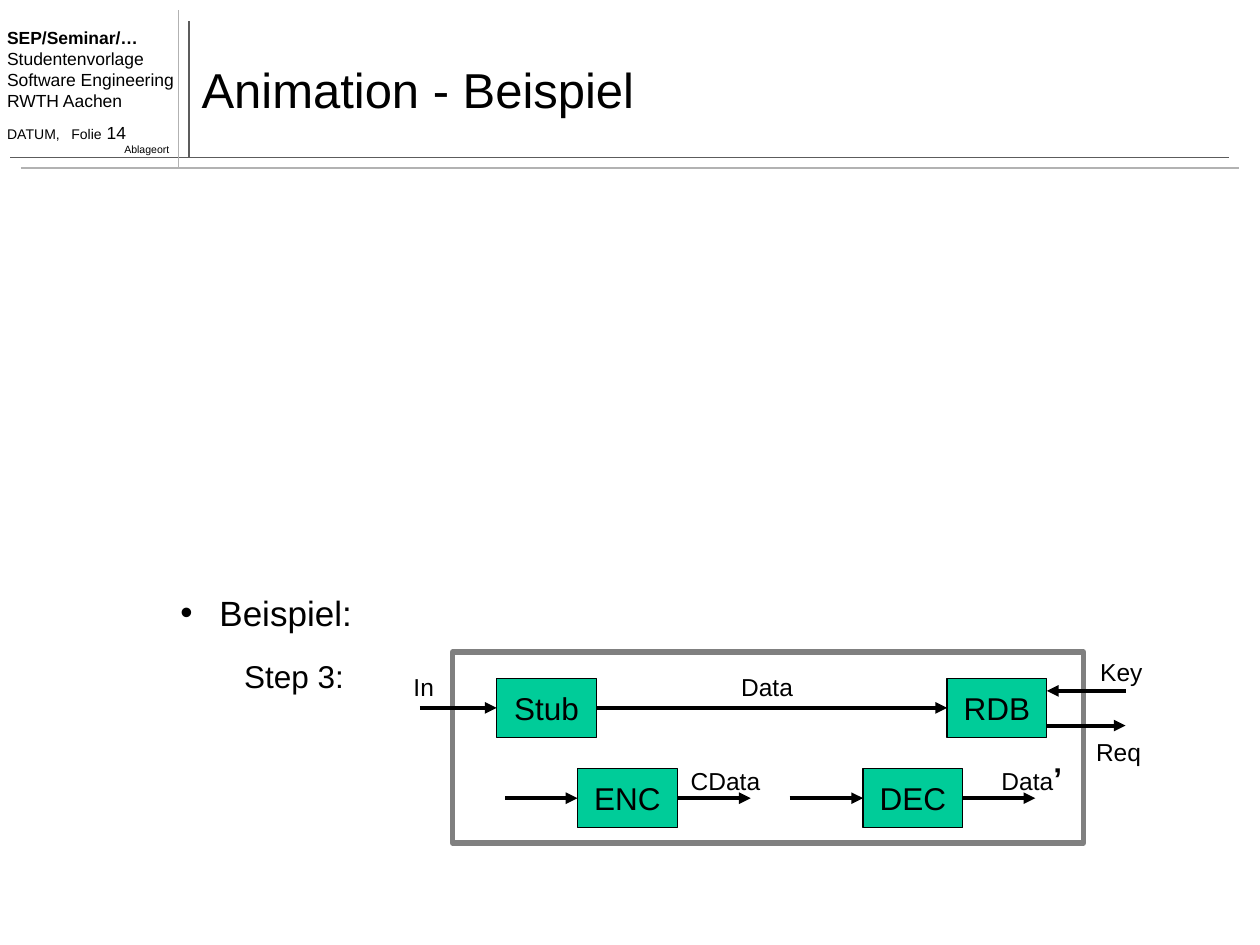
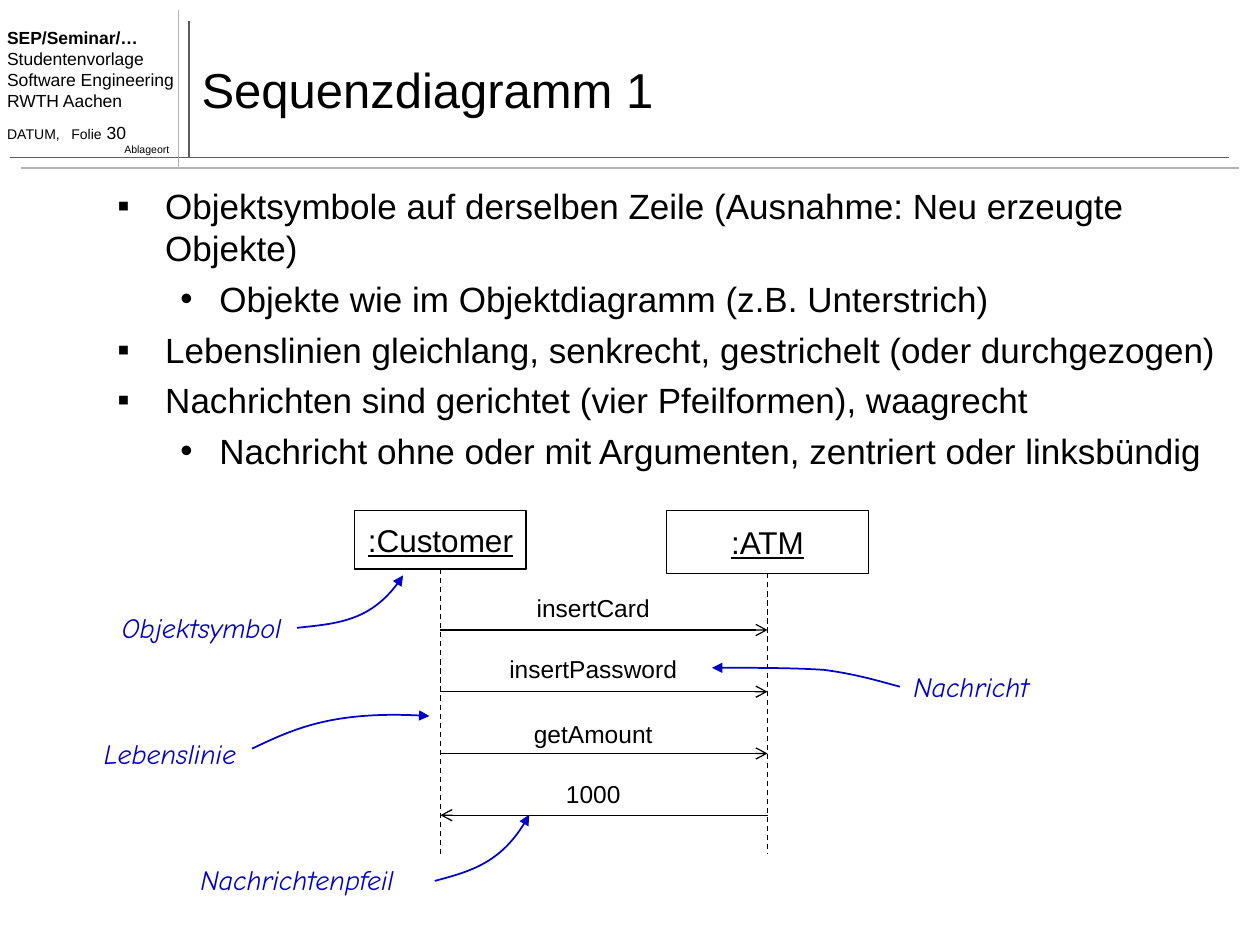
from dataclasses import dataclass
from typing import NamedTuple

from lxml.etree import SubElement
from pptx import Presentation
from pptx.dml.color import RGBColor
from pptx.enum.dml import MSO_LINE
from pptx.enum.shapes import MSO_CONNECTOR, MSO_SHAPE
from pptx.enum.text import MSO_ANCHOR, PP_ALIGN
from pptx.oxml.ns import qn
from pptx.util import Emu, Inches, Pt

COLUMNS, ROWS = 120, 90
WIDTH, HEIGHT = Inches(10), Inches(7.5)
COLORS = {"ink": "000000", "paper": "FFFFFF", "rule": "5C5C5C", "pale_rule": "B2B2B2",
          "frame": "808080", "component": "00CC99", "note": "0000CC"}
TOP, LEFT, BOTTOM, RIGHT = range(4)


class Point(NamedTuple):
    """A place on the grid."""
    col: float
    row: float


class Area(NamedTuple):
    """A rectangle on the grid."""
    col: float
    row: float
    cols: float
    rows: float


class Joint(NamedTuple):
    """The middle of one side of a box."""
    box: object
    side: int


class Bullet(NamedTuple):
    """A bullet sign with its text margin and sign offset in inches."""
    sign: str
    margin: float
    offset: float


@dataclass
class Para:
    """A paragraph of (text, format) runs."""
    runs: list
    before: float = 0
    bullet: Bullet | None = None
    tab: float = 0


@dataclass
class Message:
    """A call in the sequence diagram."""
    name: str
    name_row: float
    reply: bool = False


@dataclass
class Note:
    """A handwritten remark with its curved pointer."""
    name: str
    area: Area
    curve: list
    align: PP_ALIGN = PP_ALIGN.CENTER


SQUARE, DOT = Bullet("▪", 0.38, -0.38), Bullet("•", 0.81, -0.31)
RULES = [(Point(18, 15), Point(18, 2), "rule"), (Point(1, 15), Point(117, 15), "rule"),
         (Point(2, 16), Point(118, 16), "pale_rule"), (Point(17, 16), Point(17, 1), "pale_rule")]
RULES_OF_DIAGRAM = [
    (SQUARE, "Objektsymbole auf derselben Zeile (Ausnahme: Neu erzeugte Objekte)"),
    (DOT, "Objekte wie im Objektdiagramm (z.B. Unterstrich)"),
    (SQUARE, "Lebenslinien gleichlang, senkrecht, gestrichelt (oder durchgezogen)"),
    (SQUARE, "Nachrichten sind gerichtet (vier Pfeilformen), waagrecht"),
    (DOT, "Nachricht ohne oder mit Argumenten, zentriert oder linksbündig"),
]
MESSAGES = [Message("insertCard", 55.9), Message("insertPassword", 61.7),
            Message("getAmount", 67.9), Message("1000", 73.6, reply=True)]
FIRST_MESSAGE_ROW, MESSAGE_STEP, LIFELINE_END = 60, 5.88, 81.3
NOTES = [
    Note("Objektsymbol", Area(8.2, 57.6, 22, 4.4),
         [Point(28.3, 59.8), Point(32, 59.4), Point(35.6, 59.2), Point(38.4, 54.8)]),
    Note("Nachricht", Area(83.5, 63.2, 18, 4.4),
         [Point(85.7, 65.4), Point(83.5, 64.8), Point(81.5, 64.2), Point(78.5, 63.8),
          Point(75.5, 63.6), Point(71.6, 63.6), Point(67.8, 63.6)]),
    Note("Lebenslinie", Area(6.2, 69.6, 20, 4.4),
         [Point(24, 71.3), Point(28, 69.4), Point(31.9, 67.6), Point(40.9, 68.2)]),
    Note("Nachrichtenpfeil", Area(17.9, 81.6, 25, 4.4),
         [Point(41.4, 83.9), Point(44.8, 83), Point(48, 82.1), Point(50.4, 77.6)],
         PP_ALIGN.LEFT),
]


def across(cols: float) -> Emu:
    """Turn grid columns into a length."""
    return Emu(round(WIDTH * cols / COLUMNS))


def down(rows: float) -> Emu:
    """Turn grid rows into a length."""
    return Emu(round(HEIGHT * rows / ROWS))


def place(area: Area) -> tuple:
    """Turn an area into left, top, width and height."""
    return across(area.col), down(area.row), across(area.cols), down(area.rows)


def rgb(name: str) -> RGBColor:
    """Look up a colour."""
    return RGBColor.from_string(COLORS[name])


def write(frame, content: str | list, *, size: float = 14, font: str = "Arial",
          color: str = "ink", bold: bool = False, italic: bool = False,
          underline: bool = False, align: PP_ALIGN = PP_ALIGN.LEFT,
          anchor: MSO_ANCHOR = MSO_ANCHOR.TOP, wrap: bool = False) -> None:
    """Fill a text frame with formatted paragraphs."""
    frame.word_wrap, frame.vertical_anchor = wrap, anchor
    paras = [Para([(content, {})])] if isinstance(content, str) else content
    for index, para in enumerate(paras):
        line = frame.add_paragraph() if index else frame.paragraphs[0]
        props = line._p.get_or_add_pPr()
        if para.bullet:
            props.set("marL", str(Inches(para.bullet.margin)))
            props.set("indent", str(Inches(para.bullet.offset)))
            SubElement(props, qn("a:buFont"), typeface="Arial")
            SubElement(props, qn("a:buChar"), char=para.bullet.sign)
        if para.tab:
            SubElement(SubElement(props, qn("a:tabLst")), qn("a:tab"),
                       pos=str(Inches(para.tab)), algn="l")
        line.alignment = align
        if index and para.before:
            line.space_before = Pt(para.before)
        for text, changes in para.runs:
            run = line.add_run()
            run.text = text
            run.font.name, run.font.size = font, Pt(changes.get("size", size))
            run.font.bold, run.font.italic = changes.get("bold", bold), italic
            run.font.underline = underline
            run.font.color.rgb = rgb(color)


def label(slide, content: str | list, area: Area, **style) -> None:
    """Place text on the slide."""
    write(slide.shapes.add_textbox(*place(area)).text_frame, content, **style)


def box(slide, area: Area, name: str = "", fill: str | None = None, line: str = "ink",
        weight: float = 0.75, underline: bool = False):
    """Draw a rectangle with an optional name."""
    shape = slide.shapes.add_shape(MSO_SHAPE.RECTANGLE, *place(area))
    shape.shadow.inherit = False
    if fill:
        shape.fill.solid()
        shape.fill.fore_color.rgb = rgb(fill)
    else:
        shape.fill.background()
    shape.line.color.rgb, shape.line.width = rgb(line), Pt(weight)
    if name:
        write(shape.text_frame, name, size=18, underline=underline,
              align=PP_ALIGN.CENTER, anchor=MSO_ANCHOR.MIDDLE)
    return shape


def add_head(shape, head: str) -> None:
    """Put an arrowhead at the end of a line."""
    SubElement(shape.element.spPr.find(qn("a:ln")), qn("a:tailEnd"), type=head)


def connect(slide, start: Point | Joint, end: Point | Joint, color: str = "ink",
            weight: float = 0.75, head: str = "", dashed: bool = False) -> None:
    """Draw a straight line between points or box sides."""
    ends = [Point(0, 0) if isinstance(spot, Joint) else spot for spot in (start, end)]
    line = slide.shapes.add_connector(
        MSO_CONNECTOR.STRAIGHT, *(v for spot in ends for v in (across(spot.col), down(spot.row))))
    if isinstance(start, Joint):
        line.begin_connect(*start)
    if isinstance(end, Joint):
        line.end_connect(*end)
    line.line.color.rgb, line.line.width = rgb(color), Pt(weight)
    if dashed:
        line.line.dash_style = MSO_LINE.DASH
    if head:
        add_head(line, head)
    SubElement(line.element.spPr, qn("a:effectLst"))


def point_along(slide, curve: list) -> None:
    """Draw a curved arrow from a start point and Bézier triples."""
    spots = [(across(spot.col), down(spot.row)) for spot in curve]
    builder = slide.shapes.build_freeform(*spots[0])
    builder.add_line_segments(spots[1:], close=False)
    arrow = builder.convert_to_shape()
    outline = arrow.element.spPr.find(".//" + qn("a:path"))
    segments = outline.findall(qn("a:lnTo"))
    for first in range(0, len(segments), 3):
        bend = SubElement(outline, qn("a:cubicBezTo"))
        for segment in segments[first:first + 3]:
            bend.append(segment[0])
            outline.remove(segment)
    arrow.fill.background()
    arrow.shadow.inherit = False
    arrow.line.color.rgb, arrow.line.width = rgb("note"), Pt(1)
    add_head(arrow, "triangle")


def start_slide(deck, title: str, number: int):
    """Add a slide with the shared header and its title."""
    slide = deck.slides.add_slide(deck.slide_layouts[5])
    for start, end, color in RULES:
        connect(slide, start, end, color, 1)
    header = [Para([("SEP/Seminar/…", {"bold": True})])]
    header += [Para([(text, {})]) for text in
               ("Studentenvorlage", "Software Engineering", "RWTH Aachen")]
    header.append(Para([("DATUM,\tFolie", {"size": 8}), (f" {number}", {})], 6.2, tab=0.51))
    label(slide, header, Area(-0.5, 2, 18.5, 12.2), size=10, wrap=True)
    label(slide, "Ablageort", Area(8.3, 13, 9, 2.4), size=6, align=PP_ALIGN.RIGHT)
    heading = slide.shapes.title
    heading.left, heading.top, heading.width, heading.height = place(Area(18, 3, 100, 11))
    write(heading.text_frame, title, size=28, anchor=MSO_ANCHOR.MIDDLE, wrap=True)
    return slide


def list_points(slide, points: list, area: Area) -> None:
    """Write a bulleted list."""
    label(slide, [Para([(text, {})], 5, bullet) for bullet, text in points], area,
          size=20, wrap=True)


def build_animation(deck) -> None:
    """Build the data flow example."""
    slide = start_slide(deck, "Animation - Beispiel", 14)
    box(slide, Area(43.1, 62.1, 60.1, 18.2), line="frame", weight=3)
    cols, rows, upper, lower = 9.5, 5.64, 64.6, 73.2
    stub, rdb, enc, dec = (
        box(slide, Area(col, row, cols, rows), name, "component")
        for name, col, row in (("Stub", 47.3, upper), ("RDB", 90.2, upper),
                               ("ENC", 55, lower), ("DEC", 82.2, lower)))
    upper_middle, lower_middle = upper + rows / 2, lower + rows / 2
    flows = [
        (Point(40, upper_middle), Joint(stub, LEFT)),
        (Joint(stub, RIGHT), Joint(rdb, LEFT)),
        (Point(107.2, 65.8), Point(99.7, 65.8)),
        (Point(99.7, 69.1), Point(107.2, 69.1)),
        (Point(48.1, lower_middle), Joint(enc, LEFT)),
        (Joint(enc, RIGHT), Point(71.5, lower_middle)),
        (Point(75.2, lower_middle), Joint(dec, LEFT)),
        (Joint(dec, RIGHT), Point(98.6, lower_middle)),
    ]
    for start, end in flows:
        connect(slide, start, end, weight=2.25, head="triangle")
    for name, col, row, width in (("In", 38.2, 63.4, 6), ("Key", 103.6, 62, 8),
                                  ("Req", 103.2, 69.6, 8), ("Data", 69.4, 63.4, 10),
                                  ("CData", 64.6, 72.4, 12)):
        label(slide, name, Area(col, row, width, 4.1))
    label(slide, [Para([("Data", {}), ("’", {"size": 18, "bold": True})])],
          Area(94.2, 71.7, 11, 4.8))
    list_points(slide, [(DOT, "Beispiel:")], Area(10, 55.7, 108, 5))
    label(slide, "Step 3:", Area(21, 62, 14, 4.8), size=18, align=PP_ALIGN.CENTER)


def build_sequence(deck) -> None:
    """Build the sequence diagram."""
    slide = start_slide(deck, "Sequenzdiagramm 1", 30)
    list_points(slide, RULES_OF_DIAGRAM, Area(10, 17, 108, 31))
    lifelines = []
    for name, area in ((":Customer", Area(33.8, 48.6, 16.3, 5.6)),
                       (":ATM", Area(63.5, 48.6, 19.2, 6))):
        participant = box(slide, area, name, "paper", underline=True)
        lifelines.append(area.col + area.cols / 2)
        connect(slide, Joint(participant, BOTTOM), Point(lifelines[-1], LIFELINE_END), dashed=True)
    customer, atm = lifelines
    for index, message in enumerate(MESSAGES):
        row = FIRST_MESSAGE_ROW + index * MESSAGE_STEP
        sender, receiver = (atm, customer) if message.reply else (customer, atm)
        connect(slide, Point(sender, row), Point(receiver, row), head="arrow")
        label(slide, message.name, Area(46.5, message.name_row, 20, 4.1),
              align=PP_ALIGN.CENTER)
    for note in NOTES:
        label(slide, note.name, note.area, size=16, font="Comic Neue", color="note",
              italic=True, align=note.align)
        point_along(slide, note.curve)


def main() -> None:
    """Build and save the deck."""
    deck = Presentation()
    deck.slide_width, deck.slide_height = WIDTH, HEIGHT
    build_animation(deck)
    build_sequence(deck)
    deck.save("out.pptx")


if __name__ == "__main__":
    main()
